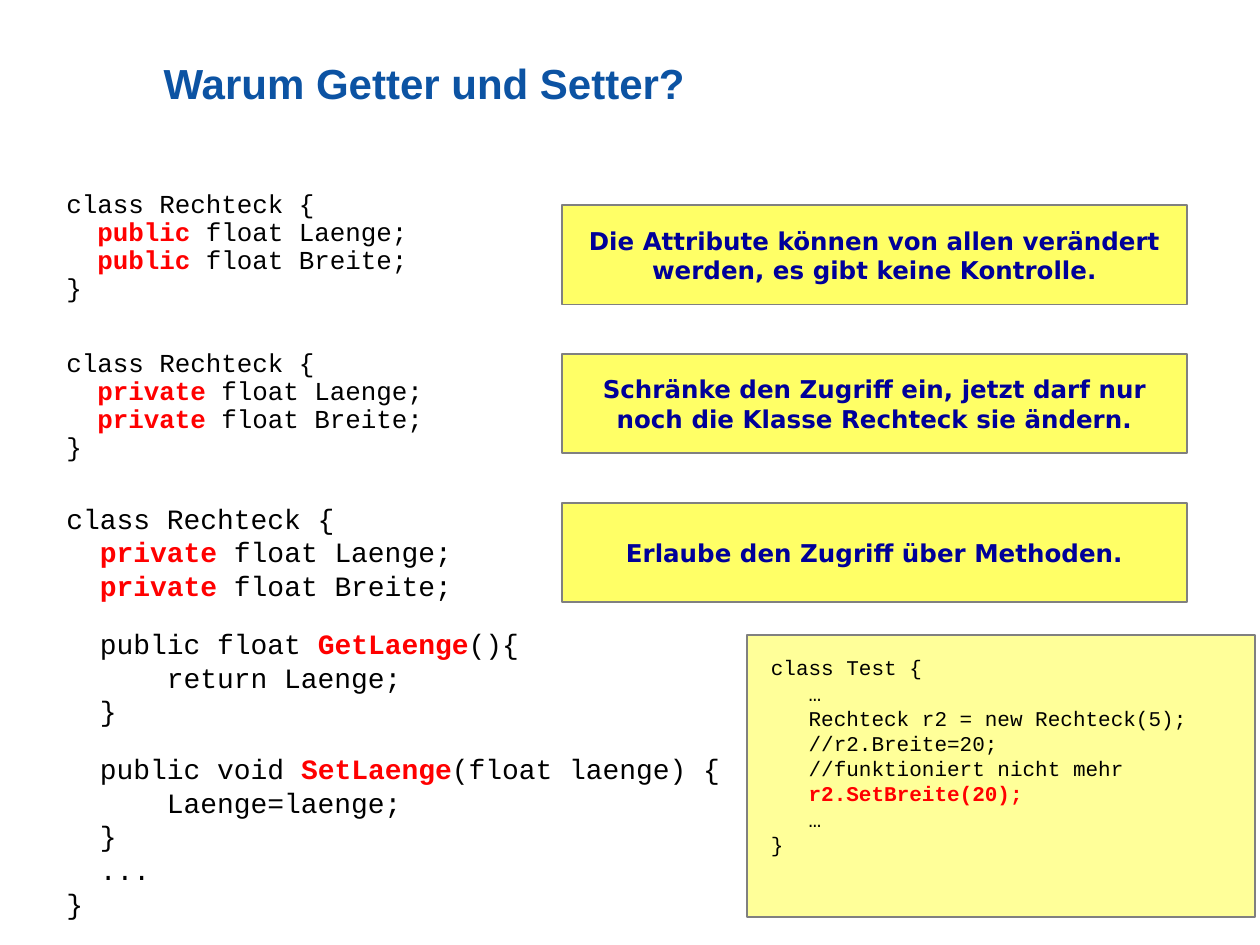
from copy import deepcopy

from pptx import Presentation
from pptx.dml.color import RGBColor
from pptx.enum.shapes import MSO_SHAPE as Shape
from pptx.enum.text import MSO_ANCHOR as Anchor, PP_ALIGN as Align
from pptx.util import Cm, Pt

BLUE = RGBColor(0x0C, 0x53, 0xA3)
NAVY = RGBColor(0x00, 0x00, 0x99)
RED = RGBColor(0xFF, 0x00, 0x00)
BLACK = RGBColor(0x00, 0x00, 0x00)
GRAY = RGBColor(0x80, 0x80, 0x80)
YELLOW = RGBColor(0xFF, 0xFF, 0x66)
PALE_YELLOW = RGBColor(0xFF, 0xFF, 0x99)

NOTES = [
    "Die Attribute können von allen verändert werden, es gibt keine Kontrolle.",
    "Schränke den Zugriff ein, jetzt darf nur noch die Klasse Rechteck sie ändern.",
    "Erlaube den Zugriff über Methoden.",
]
FIELDS = "class Rechteck {{\n  *{0}* float Laenge;\n  *{0}* float Breite;"
GETTER = "  public float *GetLaenge*(){\n      return Laenge;\n  }"
SETTER = "  public void *SetLaenge*(float laenge) {\n      Laenge=laenge;\n  }\n  ...\n}"
TEST = """class Test {
   …
   Rechteck r2 = new Rechteck(5);
   //r2.Breite=20;
   //funktioniert nicht mehr
   *r2.SetBreite(20);*
   …
}"""


class Deck:
    title_font, code_font, note_font = "Arial", "Courier New", "DejaVu Sans"

    def __init__(self):
        self.prs = Presentation()
        self.prs.slide_width, self.prs.slide_height = Cm(25.4), Cm(19.05)
        self.s = self.prs.slides.add_slide(self.prs.slide_layouts[6])

    def style(self, r, font, size, color, bold):
        r.font.name, r.font.size, r.font.bold = font, Pt(size), bold
        r.font.color.rgb = color

    def text_frame(self, x, y, w, h):
        tf = self.s.shapes.add_textbox(Cm(x), Cm(y), Cm(w), Cm(h)).text_frame
        tf.word_wrap = True
        return tf

    def title(self, text, x, y, w, h):
        tf = self.text_frame(x, y, w, h)
        tf.margin_left = tf.margin_top = tf.margin_right = 0
        tf.margin_bottom = Cm(0.92)
        tf.vertical_anchor = Anchor.MIDDLE
        tf.text = text
        p = tf.paragraphs[0]
        p.line_spacing = 0.95
        self.style(p.runs[0], self.title_font, 24, BLUE, True)

    def box(self, x, y, w, h, fill):
        sp = self.s.shapes.add_shape(Shape.RECTANGLE, Cm(x), Cm(y), Cm(w), Cm(h))
        sp.shadow.inherit = False
        sp.fill.solid()
        sp.fill.fore_color.rgb = fill
        sp.line.color.rgb = GRAY
        sp.line.width = Pt(1)
        return sp

    def note(self, text, x, y, w, h):
        tf = self.box(x, y, w, h, YELLOW).text_frame
        tf.word_wrap = True
        tf.vertical_anchor = Anchor.MIDDLE
        tf.text = text
        p = tf.paragraphs[0]
        p.alignment = Align.CENTER
        self.style(p.runs[0], self.note_font, 14, NAVY, True)

    def code(self, blocks, x, y, w, h, size, before=4, after=10, spacing=1.0):
        """One paragraph per block; parts between asterisks are bold red."""
        tf = self.text_frame(x, y, w, h)
        for i, block in enumerate(blocks):
            p = tf.add_paragraph() if i else tf.paragraphs[0]
            p.space_before, p.space_after = Pt(before), Pt(after)
            p.line_spacing = spacing
            for k, part in enumerate(block.split("*")):
                strong = k % 2 == 1
                for n, line in enumerate(part.split("\n")):
                    if n:
                        self.line_break(p)
                    if line:
                        r = p.add_run()
                        r.text = line
                        self.style(r, self.code_font, size, RED if strong else BLACK, strong)

    def line_break(self, p):
        """Break the line at the size of the run before it."""
        r_pr = deepcopy(p.runs[-1].font._rPr)
        p.add_line_break()
        p._p[-1].append(r_pr)


def main():
    deck = Deck()
    deck.title("Warum Getter und Setter?", 3.3, 0.91, 21.59, 2.54)
    for i, access in enumerate(("public", "private")):
        deck.code([FIELDS.format(access) + "\n}"], 1.09, 3.73 + 3.2 * i, 8.81, 2.95,
                  14.8, spacing=0.9)
    deck.code([FIELDS.format("private"), GETTER, SETTER], 1.09, 9.98, 19, 8.74, 16)
    for i, text in enumerate(NOTES):
        deck.note(text, 11.33, 4.14 + 3 * i, 12.6, 2)
    deck.box(15.06, 12.8, 10.24, 5.69, PALE_YELLOW)
    deck.code([TEST], 15.29, 13.08, 11.2, 8.79, 12, before=3, after=7.5)
    deck.prs.save("out.pptx")


if __name__ == "__main__":
    main()
